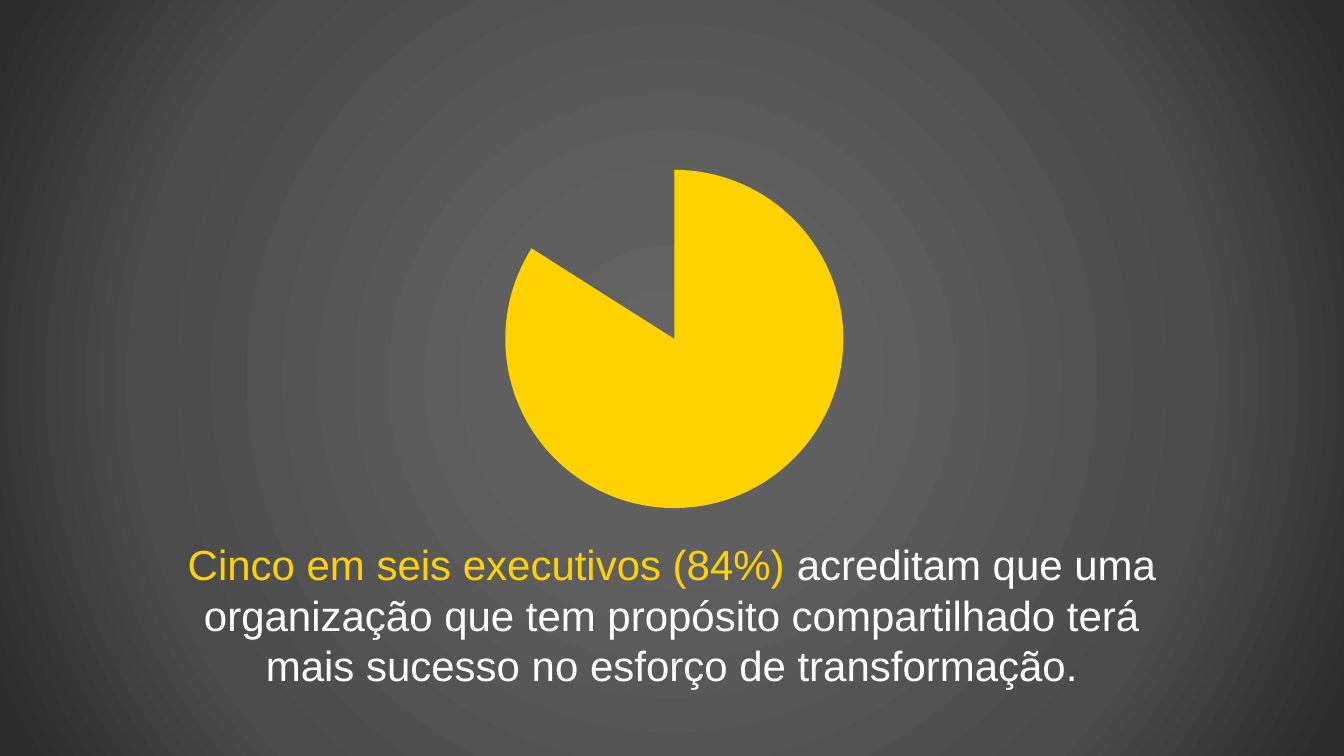
from pptx import Presentation
from pptx.chart.data import CategoryChartData
from pptx.dml.color import RGBColor
from pptx.enum.chart import XL_CHART_TYPE
from pptx.enum.shapes import MSO_SHAPE
from pptx.enum.text import PP_ALIGN
from pptx.oxml import parse_xml
from pptx.oxml.ns import nsdecls, qn
from pptx.util import Pt

EMU_PER_PX = 9080
WIDTH, HEIGHT = 1343, 755
FONT = "Arial"
COLORS = {
    "background": "333333",
    "glow": "676767",
    "inner": "5F5F5F",
    "outer": "4B4B4B",
    "edge": "2C2C2C",
    "yellow": "FFD200",
    "white": "FFFFFF",
}


def px(*lengths):
    return [length * EMU_PER_PX for length in lengths]


def rgb(name):
    return RGBColor.from_string(COLORS[name])


class SlideBuilder:
    def __init__(self, deck):
        self.page = deck.slides.add_slide(deck.slide_layouts[6])
        fill = self.page.background.fill
        fill.solid()
        fill.fore_color.rgb = rgb("background")

    def radial_backdrop(self, stops):
        """Cover the page with a circular gradient; stops are (percent, color)."""
        box = self.page.shapes.add_shape(MSO_SHAPE.RECTANGLE, *px(0, 0, WIDTH, HEIGHT))
        box.shadow.inherit = False
        box.line.fill.background()
        box.fill.gradient()
        gradient = box.element.spPr.find(qn("a:gradFill"))
        for child in list(gradient):
            gradient.remove(child)
        stop_xml = "".join(
            f'<a:gs pos="{percent * 1000}"><a:srgbClr val="{COLORS[color]}"/></a:gs>'
            for percent, color in stops
        )
        gradient.append(parse_xml(f'<a:gsLst {nsdecls("a")}>{stop_xml}</a:gsLst>'))
        gradient.append(parse_xml(
            f'<a:path {nsdecls("a")} path="circle">'
            '<a:fillToRect l="50000" t="50000" r="50000" b="50000"/></a:path>'
        ))

    def pie(self, frame, values, color, plot):
        """Fill only the first slice; plot is x, y, w, h as shares of the frame."""
        data = CategoryChartData()
        data.categories = [str(number + 1) for number in range(len(values))]
        data.add_series("Series 1", values)
        chart = self.page.shapes.add_chart(XL_CHART_TYPE.PIE, *px(*frame), data).chart
        chart.has_legend = False
        chart.has_title = False
        chart.font.name = FONT
        chart.font.size = Pt(10)
        chart.font.color.rgb = rgb("white")
        chart.plots[0].vary_by_categories = False
        points = chart.plots[0].series[0].points
        for index in range(len(values)):
            style = points[index].format
            style.line.fill.background()
            if index == 0:
                style.fill.solid()
                style.fill.fore_color.rgb = rgb(color)
            else:
                style.fill.background()
        self.place_plot(chart, plot)

    def place_plot(self, chart, plot):
        area = chart.plots[0]._element.getparent()
        for layout in area.findall(qn("c:layout")):
            area.remove(layout)
        modes = "".join(f'<c:{axis}Mode val="edge"/>' for axis in "xy")
        sizes = "".join(f'<c:{key} val="{share}"/>' for key, share in zip("xywh", plot))
        area.insert(0, parse_xml(
            f'<c:layout {nsdecls("c")}><c:manualLayout><c:layoutTarget val="inner"/>'
            f"{modes}{sizes}</c:manualLayout></c:layout>"
        ))

    def centered_text(self, frame, size, spans):
        text = self.page.shapes.add_textbox(*px(*frame)).text_frame
        text.word_wrap = True
        text.margin_left = text.margin_right = text.margin_top = text.margin_bottom = 0
        para = text.paragraphs[0]
        para.alignment = PP_ALIGN.CENTER
        para.font.name = FONT
        para.font.size = Pt(size)
        for words, color in spans:
            span = para.add_run()
            span.text = words
            span.font.color.rgb = rgb(color)


def main():
    deck = Presentation()
    deck.slide_width, deck.slide_height = px(WIDTH, HEIGHT)
    slide = SlideBuilder(deck)
    slide.radial_backdrop([(0, "glow"), (23, "inner"), (69, "outer"), (97, "edge")])
    slide.pie((366, 134, 612, 374), (84, 16), "yellow", (0.227, 0.094, 0.552, 0.906))
    slide.centered_text((179, 538, 985, 130), 30, [
        ("Cinco em seis executivos (84%) ", "yellow"),
        ("acreditam que uma organização que tem propósito compartilhado terá "
         "mais sucesso no esforço de transformação.", "white"),
    ])
    deck.save("out.pptx")


if __name__ == "__main__":
    main()
